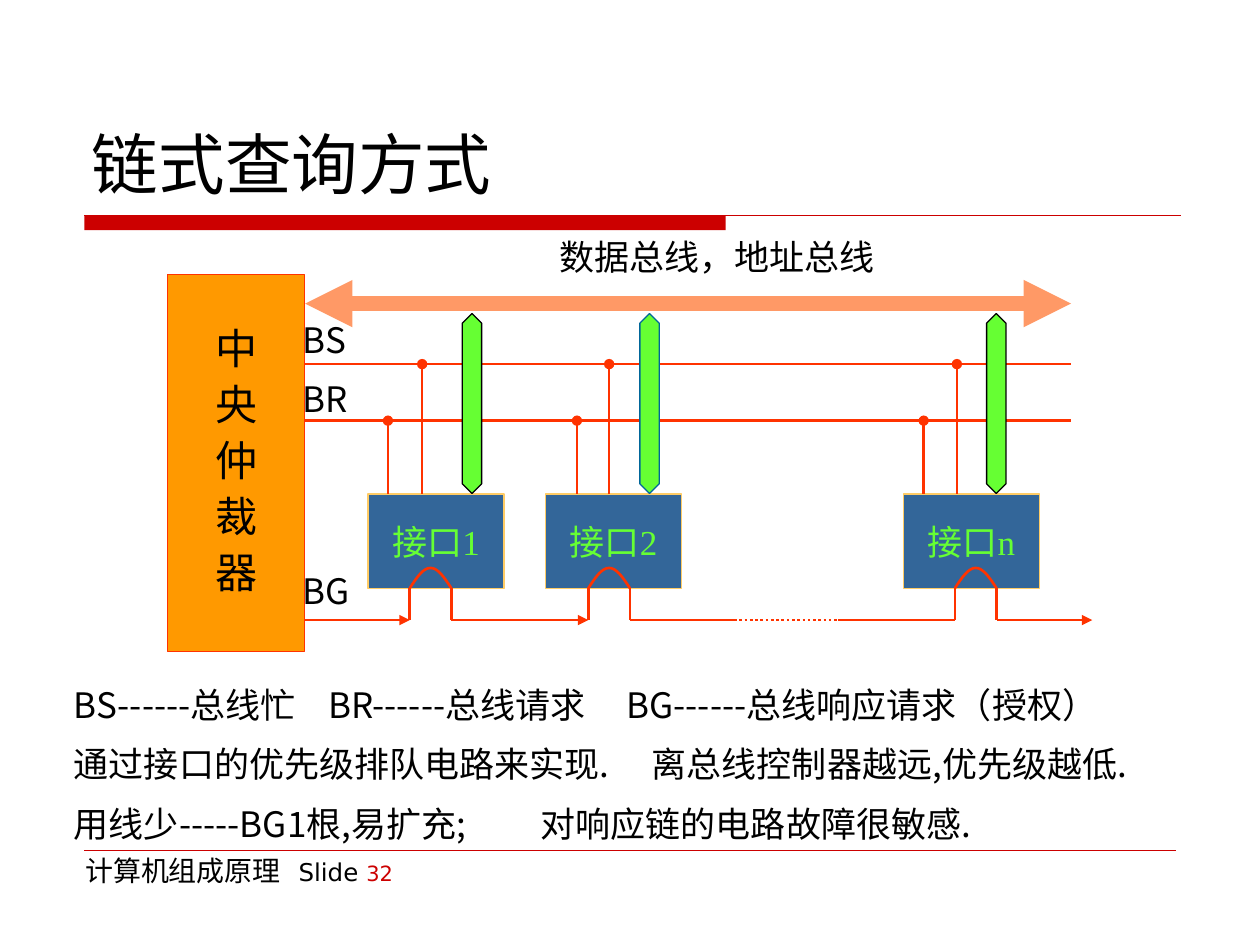
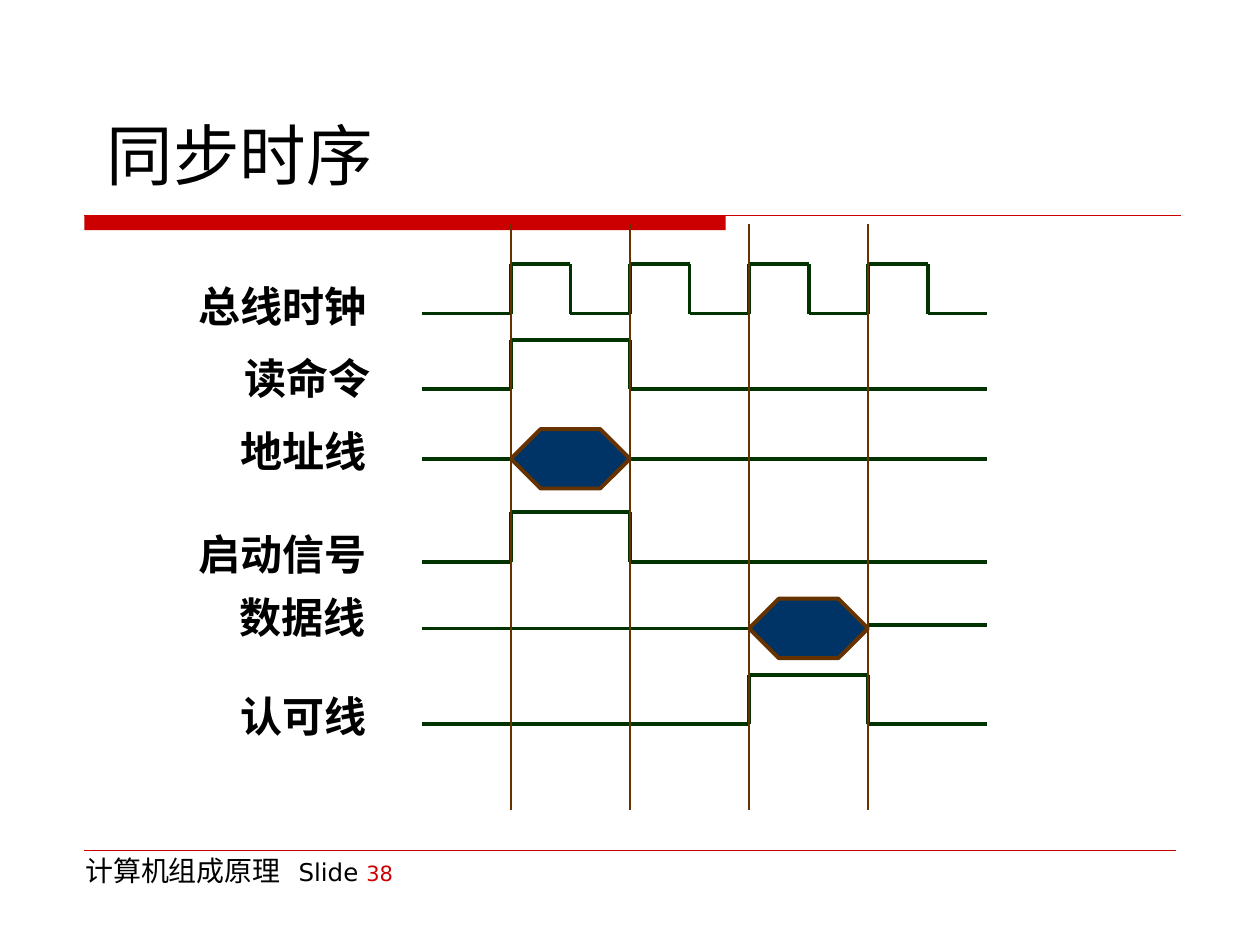
from dataclasses import dataclass
from itertools import pairwise
from math import pi, sin
from typing import Optional

from lxml.etree import SubElement
from pptx import Presentation
from pptx.dml.color import RGBColor
from pptx.enum.dml import MSO_LINE
from pptx.enum.shapes import MSO_CONNECTOR, MSO_SHAPE
from pptx.enum.text import MSO_ANCHOR, MSO_AUTO_SIZE, PP_ALIGN
from pptx.oxml.ns import qn
from pptx.util import Cm, Pt

BLACK = RGBColor(0x00, 0x00, 0x00)
CRIMSON = RGBColor(0xCC, 0x00, 0x00)
ORANGE = RGBColor(0xFF, 0x99, 0x00)
SALMON = RGBColor(0xFF, 0x99, 0x66)
WIRE_RED = RGBColor(0xFF, 0x33, 0x00)
STEEL = RGBColor(0x33, 0x66, 0x99)
SAND = RGBColor(0xFF, 0xCC, 0x66)
LIME = RGBColor(0x66, 0xFF, 0x33)
TEAL = RGBColor(0x00, 0x66, 0x99)
FOREST = RGBColor(0x00, 0x33, 0x00)
NAVY = RGBColor(0x00, 0x33, 0x66)
BROWN = RGBColor(0x66, 0x33, 0x00)

HEADING_FONT = "DejaVu Sans"
SC_FONT = "Noto Sans CJK SC"
JP_FONT = "Noto Sans CJK JP"
SERIF_FONT = "Times New Roman"


@dataclass(frozen=True)
class Box:
    left: float
    top: float
    width: float
    height: float

    def lengths(self) -> tuple:
        return Cm(self.left), Cm(self.top), Cm(self.width), Cm(self.height)


@dataclass(frozen=True)
class Stroke:
    color: RGBColor
    points: float
    head: Optional[str] = None
    tail: Optional[str] = None
    dash: Optional[MSO_LINE] = None


@dataclass(frozen=True)
class Type:
    font: str
    size: float
    color: RGBColor = BLACK
    bold: bool = False


@dataclass(frozen=True)
class Interface:
    name: str
    left: float
    request_x: float
    busy_x: float
    arrow_left: float
    arrow_edge: RGBColor
    arch_left: float


@dataclass(frozen=True)
class Signal:
    name: str
    label_left: float
    label_top: float
    base: float
    pulses: tuple = ()
    valid_from: Optional[float] = None
    final_level: Optional[float] = None


WIRE = Stroke(WIRE_RED, 1.5)
TAPPED_WIRE = Stroke(WIRE_RED, 1.5, head="oval")
GRANT_ARROW = Stroke(WIRE_RED, 1.5, tail="triangle")
TRACE = Stroke(FOREST, 2.25)

BUS_LEFT, BUS_RIGHT = 6.15, 21.59
DATA_Y, BUSY_Y, REQUEST_Y, GRANT_Y = 6.12, 7.34, 8.48, 12.5
INTERFACE_TOP, INTERFACE_WIDTH, INTERFACE_HEIGHT = 9.96, 2.74, 1.9
ARCH_WIDTH, ARCH_RISE = 0.84, 0.41
INTERFACES = (
    Interface("接口1", 7.42, 7.82, 8.51, 9.32, BLACK, 8.26),
    Interface("接口2", 11, 11.63, 12.28, 12.9, TEAL, 11.86),
    Interface("接口n", 18.21, 18.62, 19.29, 19.89, BLACK, 19.25),
)
BUS_NOTES = (
    ("BS------总线忙\tBR------总线请求\tBG------总线响应请求（授权）", (5.13, 11.14)),
    ("通过接口的优先级排队电路来实现.\t离总线控制器越远,优先级越低.", (11.65,)),
    ("用线少-----BG1根,易扩充;\t对响应链的电路故障很敏感.", (9.41,)),
)

TRACE_LEFT, TRACE_RIGHT = 8.5, 19.9
PERIOD, PULSE_HEIGHT, HEXAGON_HEIGHT = 2.4, 1.0, 1.2
TICKS = tuple(10.3 + PERIOD * i for i in range(4))
SIGNALS = (
    Signal("总线时钟", 3.5, 5.54, 6.32, tuple((t, t + PERIOD / 2) for t in TICKS)),
    Signal("读命令", 4, 6.99, 7.85, ((TICKS[0], TICKS[1]),)),
    Signal("地址线", 3.91, 8.46, 9.25, valid_from=TICKS[0]),
    Signal("启动信号", 3.5, 10.52, 11.33, ((TICKS[0], TICKS[1]),)),
    Signal("数据线", 3.9, 11.79, 12.67, valid_from=TICKS[2], final_level=12.6),
    Signal("认可线", 3.91, 13.79, 14.6, ((TICKS[2], TICKS[3]),)),
)


def style_run(run, style: Type) -> None:
    run.font.name = style.font
    run.font.size = Pt(style.size)
    run.font.bold = style.bold
    run.font.color.rgb = style.color
    east_asian = SC_FONT if style.font in (HEADING_FONT, SERIF_FONT) else style.font
    SubElement(run.font._element, qn("a:ea")).set("typeface", east_asian)


def add_tabs(paragraph, stops: tuple) -> None:
    tabs = SubElement(paragraph._p.get_or_add_pPr(), qn("a:tabLst"))
    for stop in stops:
        tab = SubElement(tabs, qn("a:tab"))
        tab.set("pos", str(Cm(stop)))
        tab.set("algn", "l")


def fill_text(frame, text: str, style: Type, align=PP_ALIGN.LEFT,
              spacing: Optional[float] = None, before: float = 0) -> None:
    frame.text = text
    for index, paragraph in enumerate(frame.paragraphs):
        paragraph.alignment = align
        if spacing:
            paragraph.line_spacing = spacing
        if index:
            paragraph.space_before = Pt(before)
        for run in paragraph.runs:
            style_run(run, style)


def add_text(slide, box: Box, text: str, style: Type, inset: bool = True, **layout):
    frame = slide.shapes.add_textbox(*box.lengths()).text_frame
    frame.word_wrap = True
    if not inset:
        frame.margin_left = frame.margin_right = 0
    fill_text(frame, text, style, **layout)
    return frame


def add_line(slide, start: tuple, end: tuple, stroke: Stroke) -> None:
    connector = slide.shapes.add_connector(
        MSO_CONNECTOR.STRAIGHT, *(Cm(value) for value in (*start, *end)))
    connector.line.color.rgb = stroke.color
    connector.line.width = Pt(stroke.points)
    if stroke.dash:
        connector.line.dash_style = stroke.dash
    properties = connector.element.spPr
    outline = properties.find(qn("a:ln"))
    for tag, kind in (("a:headEnd", stroke.head), ("a:tailEnd", stroke.tail)):
        if kind:
            SubElement(outline, qn(tag)).set("type", kind)
    SubElement(properties, qn("a:effectLst"))


def add_solid(slide, kind: MSO_SHAPE, box: Box, fill: RGBColor, edge: Optional[Stroke] = None):
    solid = slide.shapes.add_shape(kind, *box.lengths())
    solid.shadow.inherit = False
    solid.fill.solid()
    solid.fill.fore_color.rgb = fill
    if edge:
        solid.line.color.rgb = edge.color
        solid.line.width = Pt(edge.points)
    else:
        solid.line.fill.background()
    return solid


def add_block(slide, box: Box, fill: RGBColor, edge: Stroke, text: str, style: Type,
              **layout) -> None:
    frame = add_solid(slide, MSO_SHAPE.RECTANGLE, box, fill, edge).text_frame
    frame.word_wrap = False
    frame.vertical_anchor = MSO_ANCHOR.MIDDLE
    fill_text(frame, text, style, align=PP_ALIGN.CENTER, **layout)


def add_titled_slide(deck, title: str, title_box: Box, anchor: MSO_ANCHOR, number: int):
    slide = deck.slides.add_slide(deck.slide_layouts[5])
    heading = slide.shapes.title
    heading.left, heading.top, heading.width, heading.height = title_box.lengths()
    heading.text_frame.auto_size = MSO_AUTO_SIZE.NONE
    heading.text_frame.vertical_anchor = anchor
    fill_text(heading.text_frame, title, Type(HEADING_FONT, 38))

    add_solid(slide, MSO_SHAPE.RECTANGLE, Box(1.7, 4.34, 12.93, 0.3), CRIMSON)
    add_line(slide, (1.7, 4.34), (23.8, 4.34), Stroke(CRIMSON, 0.75))
    add_line(slide, (1.7, 17.15), (23.7, 17.15), Stroke(CRIMSON, 0.25))

    footer = add_text(slide, Box(1.47, 17.09, 7.62, 1.32), "计算机组成原理",
                      Type(HEADING_FONT, 16)).paragraphs[0]
    add_tabs(footer, (4.3,))
    for text, style in (("\tSlide ", Type(HEADING_FONT, 14)),
                        (str(number), Type(HEADING_FONT, 12, CRIMSON))):
        run = footer.add_run()
        run.text = text
        style_run(run, style)
    return slide


def draw_arch(slide, left: float) -> None:
    base = INTERFACE_TOP + INTERFACE_HEIGHT
    steps = 16
    curve = [(Cm(left + ARCH_WIDTH * i / steps), Cm(base - ARCH_RISE * sin(pi * i / steps)))
             for i in range(steps + 1)]
    builder = slide.shapes.build_freeform(*curve[0])
    builder.add_line_segments(curve[1:], close=False)
    arch = builder.convert_to_shape()
    arch.shadow.inherit = False
    arch.fill.background()
    arch.line.color.rgb = WIRE.color
    arch.line.width = Pt(WIRE.points)
    for x in (left, left + ARCH_WIDTH):
        add_line(slide, (x, base), (x, GRANT_Y), WIRE)


def draw_interface(slide, interface: Interface) -> None:
    add_block(slide, Box(interface.left, INTERFACE_TOP, INTERFACE_WIDTH, INTERFACE_HEIGHT),
              STEEL, Stroke(SAND, 0.75), interface.name, Type(SERIF_FONT, 20, LIME))
    for x, y in ((interface.request_x, REQUEST_Y), (interface.busy_x, BUSY_Y)):
        add_line(slide, (x, y), (x, INTERFACE_TOP), TAPPED_WIRE)
    exchange = add_solid(slide, MSO_SHAPE.UP_DOWN_ARROW, Box(interface.arrow_left, 6.32, 0.39, 3.63),
                         LIME, Stroke(interface.arrow_edge, 0.75))
    exchange.adjustments[0] = 0.5
    exchange.adjustments[1] = 1.86
    draw_arch(slide, interface.arch_left)


def build_chain_query(deck) -> None:
    slide = add_titled_slide(deck, "链式查询方式", Box(1.6, 0.84, 22.22, 3.38),
                             MSO_ANCHOR.BOTTOM, 32)
    add_block(slide, Box(3.38, 5.54, 2.76, 7.59), ORANGE, Stroke(WIRE_RED, 0.75),
              "\n".join("中央仲裁器"), Type(SC_FONT, 24), spacing=0.9, before=6)
    add_line(slide, (BUS_LEFT, DATA_Y), (BUS_RIGHT, DATA_Y),
             Stroke(SALMON, 9, "triangle", "triangle"))
    for y in (BUSY_Y, REQUEST_Y):
        add_line(slide, (BUS_LEFT, y), (BUS_RIGHT, y), WIRE)
    for interface in INTERFACES:
        draw_interface(slide, interface)

    first, second, last = (interface.arch_left for interface in INTERFACES)
    for start, end, stroke in (
        (BUS_LEFT, first, GRANT_ARROW),
        (first + ARCH_WIDTH, second, GRANT_ARROW),
        (second + ARCH_WIDTH, 14.8, WIRE),
        (14.8, 16.9, Stroke(WIRE_RED, 1.5, dash=MSO_LINE.ROUND_DOT)),
        (16.9, last, WIRE),
        (last + ARCH_WIDTH, 22.02, GRANT_ARROW),
    ):
        add_line(slide, (start, GRANT_Y), (end, GRANT_Y), stroke)

    for name, top in (("BS", 6.3), ("BR", 7.49), ("BG", 11.36)):
        add_text(slide, Box(6.1, top, 1.3, 1.27), name, Type(SC_FONT, 20), inset=False)
    add_text(slide, Box(11.02, 4.62, 7.67, 1.12), "数据总线，地址总线", Type(JP_FONT, 20))
    notes = add_text(slide, Box(1.24, 13.49, 23.27, 3.66),
                     "\n".join(text for text, _ in BUS_NOTES), Type(JP_FONT, 20),
                     spacing=1.2, before=5)
    for paragraph, (_, stops) in zip(notes.paragraphs, BUS_NOTES):
        add_tabs(paragraph, stops)


def draw_signal(slide, signal: Signal) -> None:
    add_text(slide, Box(signal.label_left, signal.label_top, 4.4, 1.27), signal.name,
             Type(SC_FONT, 24, bold=True), align=PP_ALIGN.CENTER)
    base = signal.base
    if signal.valid_from is not None:
        valid_to = signal.valid_from + PERIOD
        level = signal.final_level or base
        add_line(slide, (TRACE_LEFT, base), (signal.valid_from, base), TRACE)
        add_line(slide, (valid_to, level), (TRACE_RIGHT, level), TRACE)
        hexagon = add_solid(
            slide, MSO_SHAPE.HEXAGON,
            Box(signal.valid_from, base - HEXAGON_HEIGHT / 2, PERIOD, HEXAGON_HEIGHT),
            NAVY, Stroke(BROWN, 2.25))
        hexagon.adjustments[0] = 0.5
        return
    top = base - PULSE_HEIGHT
    corners = [(TRACE_LEFT, base)]
    for rise, fall in signal.pulses:
        corners += [(rise, base), (rise, top), (fall, top), (fall, base)]
    corners.append((TRACE_RIGHT, base))
    for start, end in pairwise(corners):
        add_line(slide, start, end, TRACE)


def build_synchronous_timing(deck) -> None:
    slide = add_titled_slide(deck, "同步时序", Box(1.9, 1.52, 21.59, 3.18),
                             MSO_ANCHOR.MIDDLE, 38)
    for signal in SIGNALS:
        draw_signal(slide, signal)
    for tick in TICKS:
        add_line(slide, (tick, 4.52), (tick, 16.33), Stroke(BROWN, 0.75))


def main() -> None:
    deck = Presentation()
    deck.slide_width, deck.slide_height = Cm(25.4), Cm(19.05)
    build_chain_query(deck)
    build_synchronous_timing(deck)
    deck.save("out.pptx")


if __name__ == "__main__":
    main()
